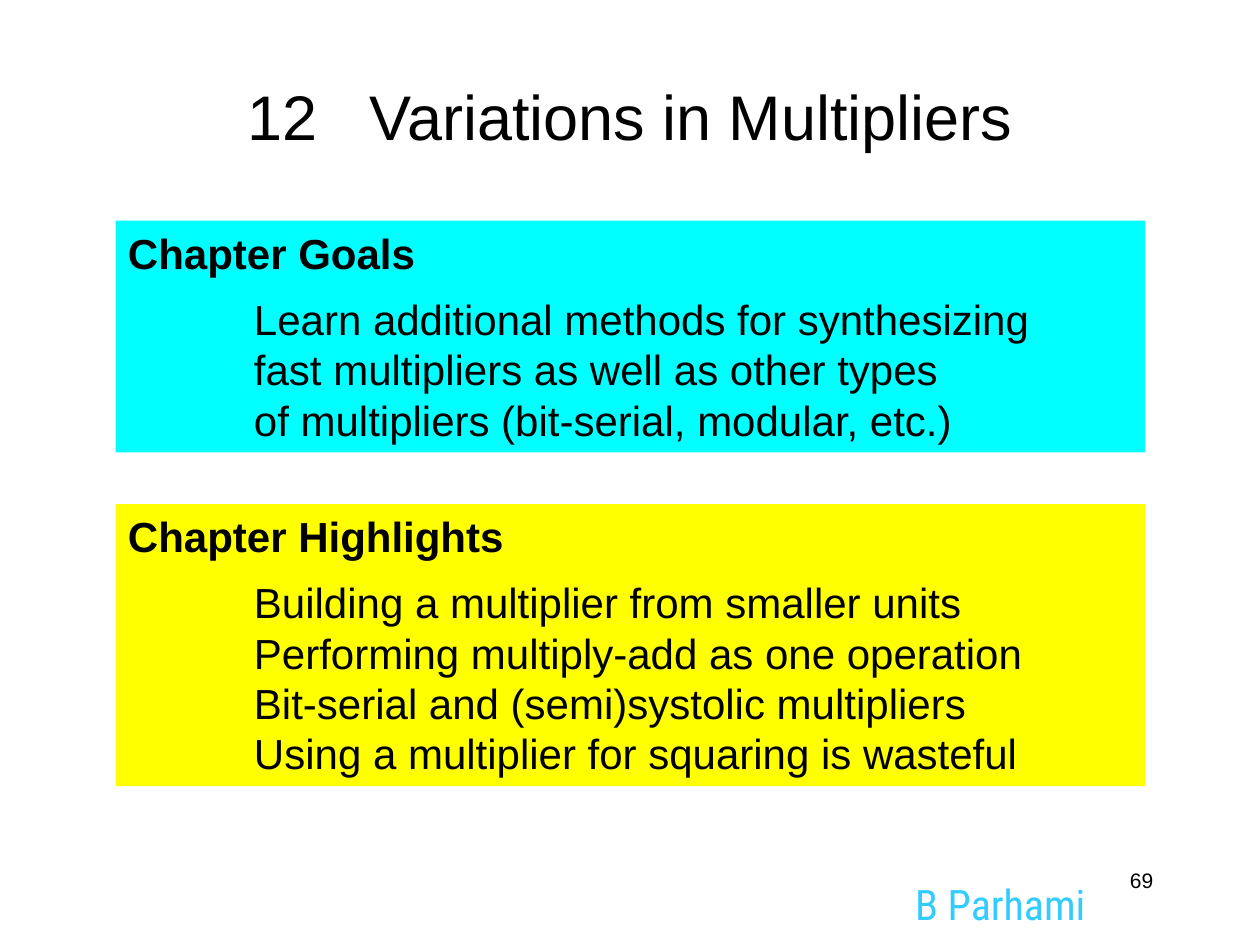
"""Build the chapter opening slide on variations in multipliers."""
import pptx
import pptx.dml.color
import pptx.enum.text
import pptx.util
from pptx.util import Cm, Pt

ALIGN = pptx.enum.text.PP_ALIGN
ANCHOR = pptx.enum.text.MSO_ANCHOR

THEME = {
    "font": "Arial", "credit_font": "Roboto Condensed",
    "ink": "000000", "credit": "33CCFF", "goals": "00FFFF", "highlights": "FFFF00",
    "title_size": 36, "text_size": 24, "number_size": 12,
    "heading_gap": 9, "number_gap": 20, "indent": 2.54,
}
CHAPTER, TITLE = "12", "Variations in Multipliers"
TITLE_AREA = (1.06, 1.06, 23.28, 2.54)
PANEL_LEFT, PANEL_WIDTH = 2.33, 20.75
PANELS = [
    ("Chapter Goals", "goals", 4.45, 4.67, [
        "Learn additional methods for synthesizing",
        "fast multipliers as well as other types",
        "of multipliers (bit-serial, modular, etc.)",
    ]),
    ("Chapter Highlights", "highlights", 10.16, 5.69, [
        "Building a multiplier from smaller units",
        "Performing multiply-add as one operation",
        "Bit-serial and (semi)systolic multipliers",
        "Using a multiplier for squaring is wasteful",
    ]),
]
FOOTERS = [
    ("B Parhami", (18.2, 17.58, 2.74, 1.07), "credit_font", "text_size", "credit", ALIGN.LEFT, False),
    ("69", (18.2, 17.35, 5.3, 1.27), "font", "number_size", "ink", ALIGN.RIGHT, True),
]


def color(name):
    return pptx.dml.color.RGBColor.from_string(THEME[name])


def place(box, area):
    box.left, box.top, box.width, box.height = (Cm(length) for length in area)


def prepare(frame, anchor, wrap=True):
    frame.word_wrap = wrap
    frame.auto_size = pptx.enum.text.MSO_AUTO_SIZE.NONE
    frame.vertical_anchor = anchor
    frame.margin_left = frame.margin_right = Cm(0.25)
    frame.margin_top = frame.margin_bottom = Cm(0.13)


def format_para(para, size, align, font="font", ink="ink", bold=False):
    para.alignment = align
    para.space_before = para.space_after = Pt(0)
    for span in para.runs:
        span.font.name = THEME[font]
        span.font.size = Pt(THEME[size])
        span.font.bold = bold
        span.font.color.rgb = color(ink)


def add_title(box):
    place(box, TITLE_AREA)
    prepare(box.text_frame, ANCHOR.MIDDLE)
    para = box.text_frame.paragraphs[0]
    for text in (CHAPTER, " ", TITLE):
        para.add_run().text = text
    format_para(para, "title_size", ALIGN.CENTER)
    para.runs[1].font._element.set("spc", str(THEME["number_gap"] * 100))


def fill_panel(box, heading, fill, top, height, lines):
    place(box, (PANEL_LEFT, top, PANEL_WIDTH, height))
    box.fill.solid()
    box.fill.fore_color.rgb = color(fill)
    frame = box.text_frame
    prepare(frame, ANCHOR.TOP)
    frame.text = "\n".join([heading, *lines])
    for index, para in enumerate(frame.paragraphs):
        format_para(para, "text_size", ALIGN.JUSTIFY, bold=index == 0)
        properties = para._p.get_or_add_pPr()
        properties.set("marL", str(Cm(THEME["indent"] if index else 0)))
        properties.set("indent", "0")
        properties.append(pptx.oxml.xmlchemy.OxmlElement("a:buNone"))
    frame.paragraphs[0].space_after = Pt(THEME["heading_gap"])


def add_footer(page, text, area, font, size, ink, align, wrap):
    box = page.shapes.add_textbox(*(Cm(length) for length in area))
    prepare(box.text_frame, ANCHOR.TOP, wrap)
    box.text_frame.text = text
    format_para(box.text_frame.paragraphs[0], size, align, font, ink)


def main():
    deck = pptx.Presentation()
    deck.slide_width, deck.slide_height = Cm(25.4), Cm(19.05)
    page = deck.slides.add_slide(deck.slide_layouts.get_by_name("Two Content"))
    title, *bodies = page.placeholders
    add_title(title)
    for box, panel in zip(bodies, PANELS):
        fill_panel(box, *panel)
    for footer in FOOTERS:
        add_footer(page, *footer)
    deck.save("out.pptx")


if __name__ == "__main__":
    main()
